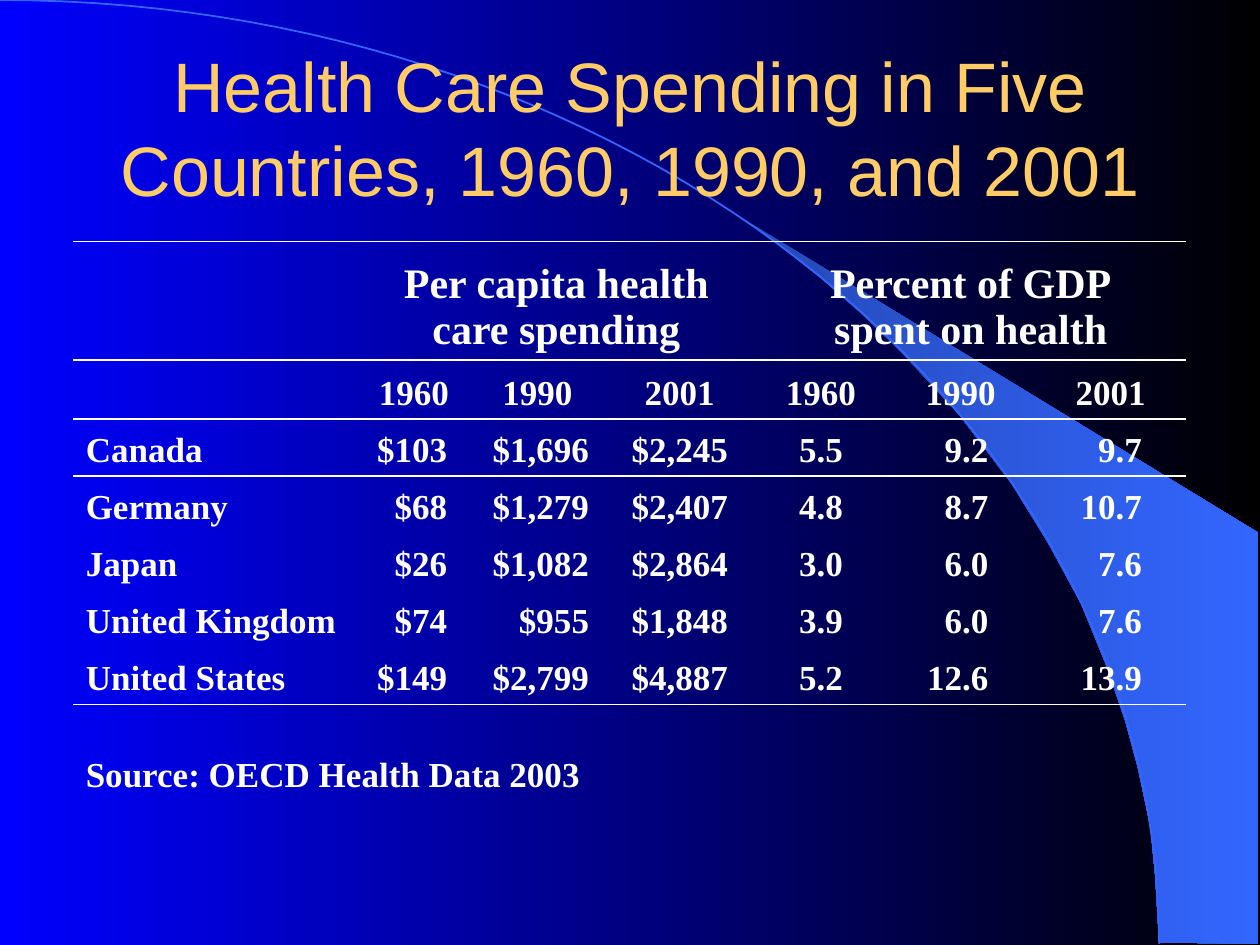
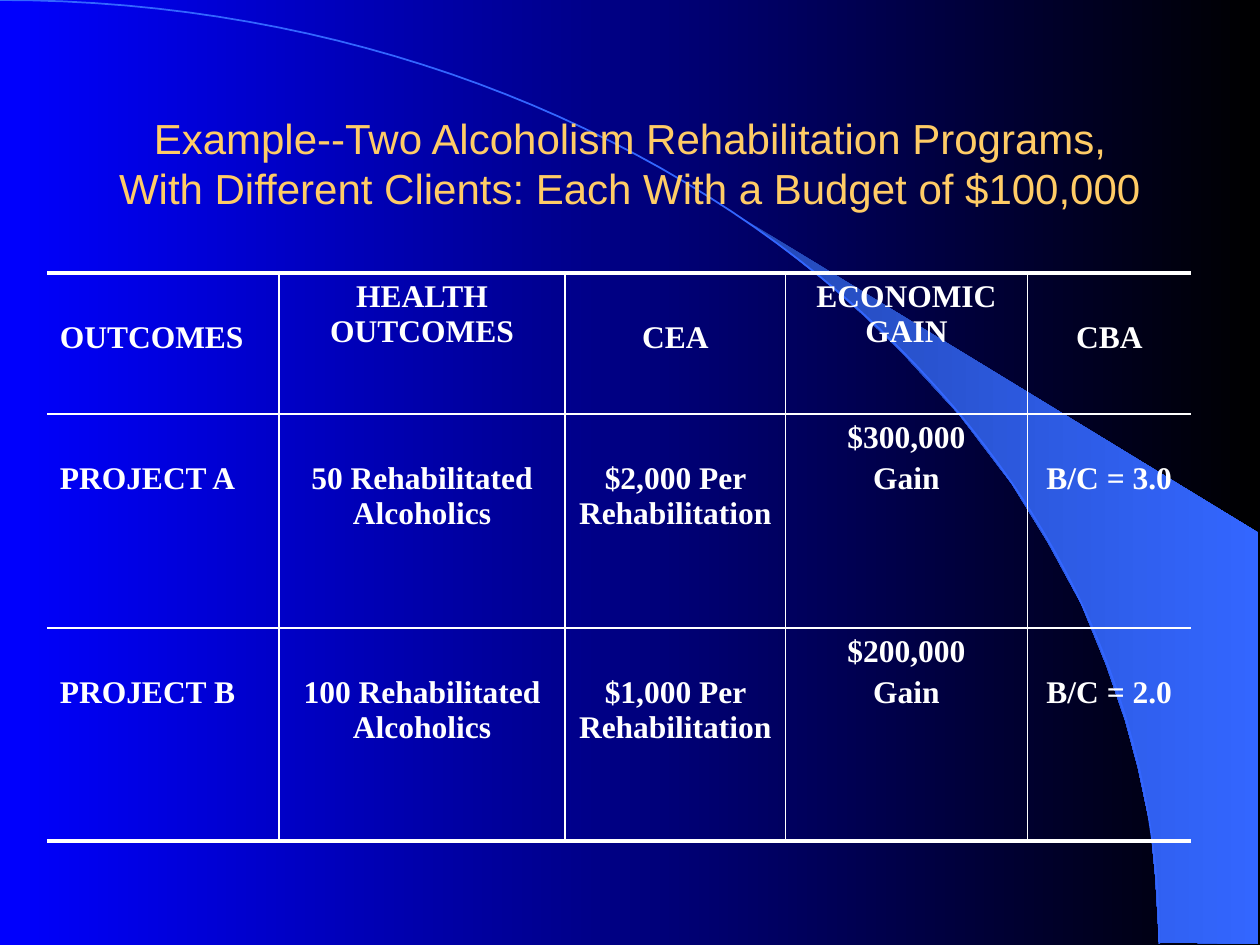
from lxml import etree
from pptx import Presentation
from pptx.dml.color import RGBColor
from pptx.enum.text import MSO_ANCHOR, PP_ALIGN
from pptx.oxml.ns import qn
from pptx.util import Pt

LEFT, CENTER, RIGHT = PP_ALIGN.LEFT, PP_ALIGN.CENTER, PP_ALIGN.RIGHT
TOP, MIDDLE, BOTTOM = MSO_ANCHOR.TOP, MSO_ANCHOR.MIDDLE, MSO_ANCHOR.BOTTOM
NO_STYLE = "{2D5ABB26-0587-4C30-8999-92F81FD0307C}"
rgb = RGBColor.from_string
WHITE, GOLD, BLUE = "FFFFFF", "FFCC66", "3366FF"
TABLE_FONT = {"name": "Times New Roman", "bold": True}


def write(frame, text, size, color, font_format, alignment=CENTER):
    """Fill a text frame, one paragraph per line, vertical tab as line break."""
    frame.word_wrap = True
    frame.text = text
    for index, paragraph in enumerate(frame.paragraphs):
        paragraph.alignment = alignment
        paragraph.space_before = Pt(3.6 if index else 0)
        for run in paragraph.runs:
            for name, value in {**font_format, "size": Pt(size)}.items():
                setattr(run.font, name, value)
            run.font.color.rgb = rgb(color)


def add_table(slide, left, top, widths, heights, column_rules, row_rules):
    """Add a plain table; the rules map an edge number to a line width."""
    frame = slide.shapes.add_table(
        len(heights), len(widths), Pt(left), Pt(top), Pt(sum(widths)), Pt(sum(heights)))
    table = frame.table
    table.first_row = table.horz_banding = False
    table._tbl.tblPr.find(qn("a:tableStyleId")).text = NO_STYLE
    for column, width in zip(table.columns, widths):
        column.width = Pt(width)
    for row, height in zip(table.rows, heights):
        row.height = Pt(height)
    for r in range(len(heights)):
        for c in range(len(widths)):
            cell = table.cell(r, c)
            edges = {"a:lnL": column_rules.get(c), "a:lnR": column_rules.get(c + 1),
                     "a:lnT": row_rules.get(r), "a:lnB": row_rules.get(r + 1)}
            for tag, width in edges.items():
                if width:
                    line = etree.SubElement(cell._tc.get_or_add_tcPr(), qn(tag), w=str(Pt(width)))
                    fill = etree.SubElement(line, qn("a:solidFill"))
                    etree.SubElement(fill, qn("a:srgbClr"), val=WHITE)
            cell.fill.background()
    return table


presentation = Presentation()
presentation.slide_width, presentation.slide_height = Pt(720), Pt(540)

# Shared background, set on the master
background = presentation.slide_master.background.fill
background.gradient()
background.gradient_angle = 0
for stop, color in zip(background.gradient_stops, ("0000FF", "000000")):
    stop.color.rgb = rgb(color)

# Shared outlines: the light band and the long arc (a sampled cubic curve)
band = [(662.4, 538.6), (719.3, 539.3), (719.3, 304.6), (424.1, 124.6), (449.3, 143.3),
        (470.2, 159.8), (493.2, 180), (515.5, 201.6), (548.6, 237.6), (578.2, 276.5),
        (599, 310.3), (617.8, 344.9), (632.2, 380.2), (643, 411.8), (650.2, 438.5),
        (657.4, 472.3), (660.2, 501.1)]
arc = []
for step in range(61):
    t = step / 60
    arc.append((3 * t * (1 - t) ** 2 * 365.8 + (3 * t ** 2 * (1 - t) + t ** 3) * 662.4,
                3 * t ** 2 * (1 - t) * 241.2 + t ** 3 * 539.3))

# Slides with their titles: text, size, top, height
titles = [
    ("Health Care Spending in Five Countries, 1960, 1990, and 2001", 40, 24, 96),
    ("Example--Two Alcoholism Rehabilitation Programs,\v"
     "With Different Clients: Each With a Budget of $100,000", 24, 48, 90),
]
for title, size, top, height in titles:
    slide = presentation.slides.add_slide(presentation.slide_layouts[6])
    for points, closed in ((band, True), (arc, False)):
        corners = [(Pt(x), Pt(y)) for x, y in points]
        builder = slide.shapes.build_freeform(*corners[0])
        builder.add_line_segments(corners[1:], close=closed)
        shape = builder.convert_to_shape()
        shape.shadow.inherit = False
        if closed:
            shape.line.fill.background()
            shape.fill.gradient()
            shape.fill.gradient_angle = 0
            for stop, color in zip(shape.fill.gradient_stops, ("2449B6", BLUE)):
                stop.color.rgb = rgb(color)
        else:
            shape.fill.background()
            shape.line.color.rgb = rgb(BLUE)
            shape.line.width = Pt(1)
    box = slide.shapes.add_textbox(Pt(54), Pt(top), Pt(612), Pt(height))
    box.text_frame.vertical_anchor = MIDDLE
    write(box.text_frame, title, size, GOLD, {"name": "Arial"})

spending_slide, programs_slide = presentation.slides

# Slide 1: spending table
spending = [
    ["", "1960", "1990", "2001", "1960", "1990", "2001"],
    ["Canada", "$103", "$1,696", "$2,245", "5.5", "9.2", "9.7"],
    ["Germany", "$68", "$1,279", "$2,407", "4.8", "8.7", "10.7"],
    ["Japan", "$26", "$1,082", "$2,864", "3.0", "6.0", "7.6"],
    ["United Kingdom", "$74", "$955", "$1,848", "3.9", "6.0", "7.6"],
    ["United States", "$149", "$2,799", "$4,887", "5.2", "12.6", "13.9"],
]
right_margins = [7.2, 13.8, 8.3, 16, 24.5, 27, 25]
table = add_table(spending_slide, 41.8, 138, [162, 65.5, 75.6, 87.1, 74.2, 85.7, 85.7],
                  [67.7, 33.8] + [32.6] * 5 + [55.4], {}, {0: 1, 1: 1, 2: 1, 7: 1})
for column, heading in ((1, "Per capita health care spending"),
                        (4, "Percent of GDP\vspent on health")):
    cell = table.cell(0, column)
    cell.merge(table.cell(0, column + 2))
    cell.vertical_anchor = BOTTOM
    write(cell.text_frame, heading, 24, WHITE, TABLE_FONT)
for r, values in enumerate(spending, 1):
    for c, value in enumerate(values):
        cell = table.cell(r, c)
        cell.vertical_anchor = BOTTOM
        if r > 1:
            cell.margin_right = Pt(right_margins[c])
        alignment = LEFT if c == 0 else CENTER if r == 1 else RIGHT
        write(cell.text_frame, value, 20, WHITE, TABLE_FONT, alignment)
source = table.cell(7, 0)
source.merge(table.cell(7, 6))
source.vertical_anchor = BOTTOM
write(source.text_frame, "Source: OECD Health Data 2003", 20, WHITE, TABLE_FONT, LEFT)

# Slide 2: program comparison; most cells start one line lower
programs = [
    ["OUTCOMES", "HEALTH OUTCOMES", "CEA", "ECONOMIC GAIN", "CBA"],
    ["PROJECT A", "50 Rehabilitated Alcoholics", "$2,000 Per Rehabilitation",
     "$300,000\nGain", "B/C = 3.0"],
    ["PROJECT B", "100 Rehabilitated Alcoholics", "$1,000 Per Rehabilitation",
     "$200,000\nGain", "B/C = 2.0"],
]
table = add_table(programs_slide, 27, 156, [132.5, 163.4, 126, 138.2, 93.6], [80.6, 122.4, 121.7],
                  {1: 1, 2: 1, 3: 1, 4: 1}, {0: 2.25, 1: 1, 3: 2.25})
for r, values in enumerate(programs):
    for c, value in enumerate(values):
        cell = table.cell(r, c)
        cell.vertical_anchor = TOP
        starts_high = c == 3 or (r, c) == (0, 1)
        cell.margin_top = Pt(3.6 if starts_high else 27)
        write(cell.text_frame, value, 18, WHITE, TABLE_FONT, CENTER if c else LEFT)

presentation.save("out.pptx")
